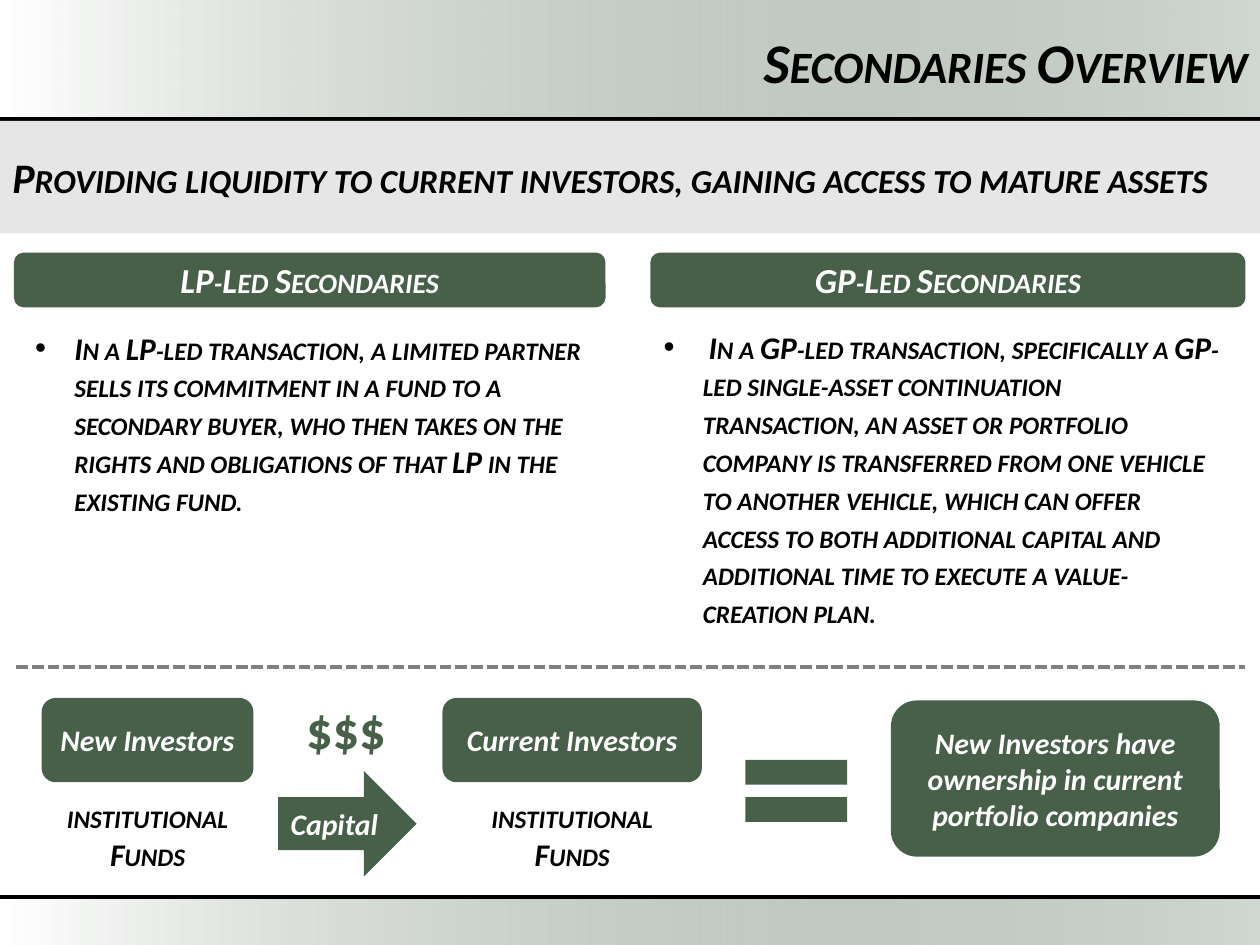
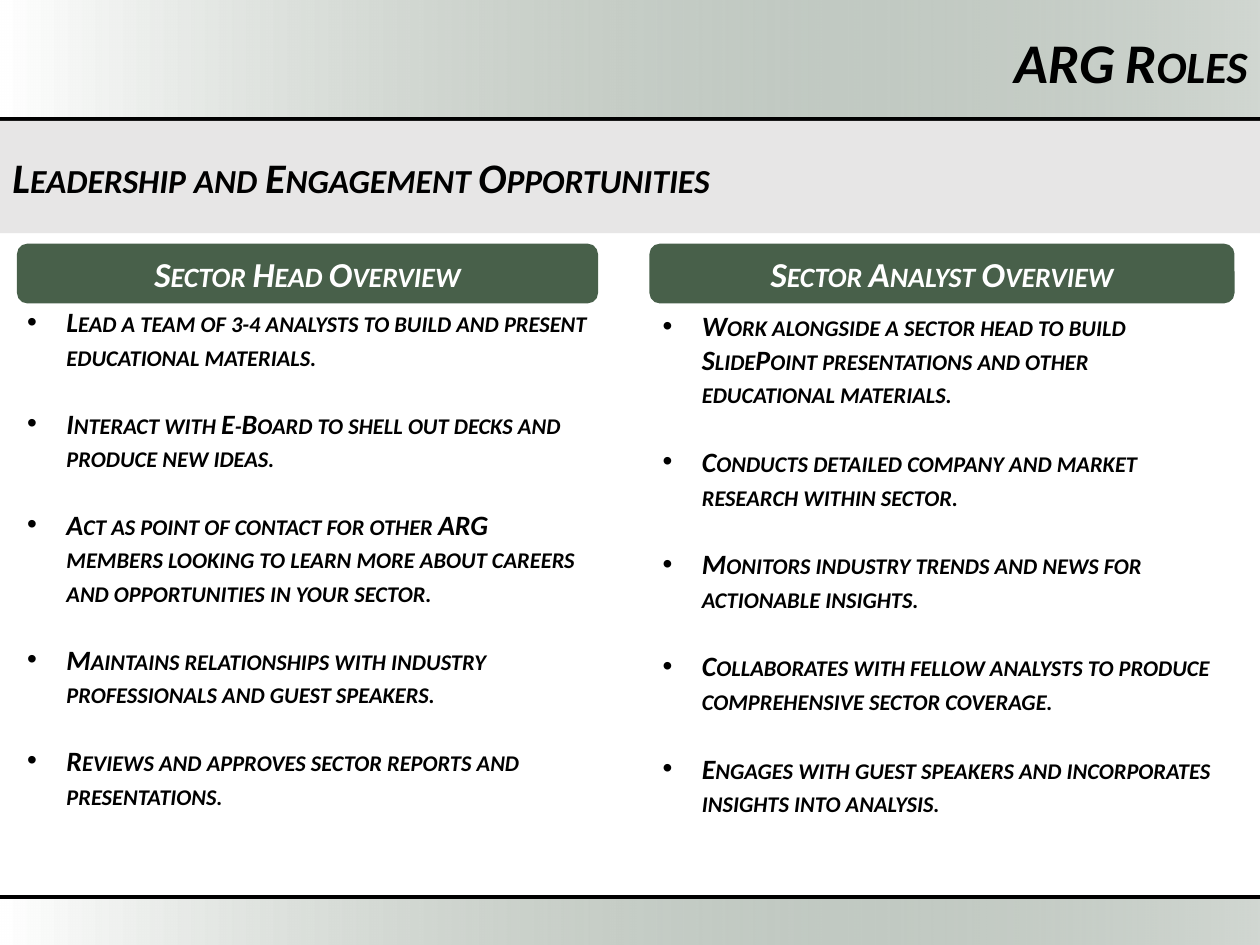
from dataclasses import dataclass

from lxml import etree
from pptx import Presentation
from pptx.dml.color import RGBColor
from pptx.enum.dml import MSO_LINE
from pptx.enum.shapes import MSO_CONNECTOR, MSO_SHAPE
from pptx.enum.text import MSO_ANCHOR, PP_ALIGN
from pptx.oxml.ns import qn
from pptx.util import Cm, Pt

GREEN = RGBColor(0x48, 0x60, 0x4A)
BLACK = RGBColor(0, 0, 0)
WHITE = RGBColor(0xFF, 0xFF, 0xFF)
BAND_GREY = RGBColor(0xE7, 0xE6, 0xE6)
DIVIDER_GREY = RGBColor(0x80, 0x80, 0x80)

FONT = "Calibri"
SLIDE_WIDTH, SLIDE_HEIGHT = 25.4, 19.05
BULLET_INDENT = Cm(0.79)

LEFT, CENTER, RIGHT = PP_ALIGN.LEFT, PP_ALIGN.CENTER, PP_ALIGN.RIGHT
TOP, MIDDLE = MSO_ANCHOR.TOP, MSO_ANCHOR.MIDDLE
RECTANGLE, ROUNDED = MSO_SHAPE.RECTANGLE, MSO_SHAPE.ROUNDED_RECTANGLE
ARROW, EQUALS = MSO_SHAPE.RIGHT_ARROW, MSO_SHAPE.MATH_EQUAL
STRAIGHT = MSO_CONNECTOR.STRAIGHT
DASHED = MSO_LINE.SQUARE_DOT


@dataclass(frozen=True)
class Box:
    left: float
    top: float
    width: float
    height: float

    def lengths(self) -> tuple[Cm, Cm, Cm, Cm]:
        return Cm(self.left), Cm(self.top), Cm(self.width), Cm(self.height)


@dataclass(frozen=True)
class Column:
    heading: str
    heading_box: Box
    points: tuple[str, ...]
    points_box: Box
    size: float
    gap: float = 0


@dataclass(frozen=True)
class FlowStep:
    text: str
    box: Box
    outline: MSO_SHAPE = ROUNDED


@dataclass(frozen=True)
class Caption:
    text: str
    box: Box


HEADER_BOX = Box(0, 0, SLIDE_WIDTH, 2.41)
FOOTER_BOX = Box(0, 18.11, SLIDE_WIDTH, 0.94)
SUBTITLE_BOX = Box(0, 2.44, SLIDE_WIDTH, 2.26)
TITLE_BOX = Box(10.13, 0.41, 15.27, 1.63)
RULE_TOPS = (2.41, 18.08)

SECONDARIES_COLUMNS = (
    Column(
        "LP-Led Secondaries",
        Box(0.3, 5.11, 11.89, 1.07),
        ("In a LP-led transaction, a limited partner sells its commitment in a fund "
         "to a secondary buyer, who then takes on the rights and obligations of that "
         "LP in the existing fund.",),
        Box(0.46, 6.5, 11.71, 4.11),
        18,
    ),
    Column(
        "GP-Led Secondaries",
        Box(13.13, 5.11, 11.96, 1.07),
        (" In a GP-led transaction, specifically a GP-led single-asset continuation "
         "transaction, an asset or portfolio company is transferred from one vehicle "
         "to another vehicle, which can offer access to both additional capital and "
         "additional time to execute a value-creation plan.",),
        Box(13.13, 6.48, 11.71, 6.4),
        18,
    ),
)

ROLE_COLUMNS = (
    Column(
        "Sector Head Overview",
        Box(0.36, 4.93, 11.68, 1.17),
        (
            "Lead a team of 3-4 analysts to build and present educational materials.",
            "Interact with E-Board to shell out decks and produce new ideas.",
            "Act as point of contact for other ARG members looking to learn more "
            "about careers and opportunities in your sector.",
            "Maintains relationships with industry professionals and guest speakers.",
            "Reviews and approves sector reports and presentations.",
        ),
        Box(0.3, 6.02, 11.79, 10.52),
        16,
        19.5,
    ),
    Column(
        "Sector Analyst Overview",
        Box(13.11, 4.93, 11.76, 1.17),
        (
            "Work alongside a sector head to build SlidePoint presentations and other "
            "educational materials.",
            "Conducts detailed company and market research within sector.",
            "Monitors industry trends and news for actionable insights.",
            "Collaborates with fellow analysts to produce comprehensive sector coverage.",
            "Engages with guest speakers and incorporates insights into analysis.",
        ),
        Box(13.11, 6.1, 11.68, 10.59),
        16,
        20,
    ),
)

FLOW_STEPS = (
    FlowStep("New Investors", Box(0.84, 14.07, 4.27, 1.7)),
    FlowStep("Capital", Box(5.61, 15.54, 2.79, 2.13), ARROW),
    FlowStep("Current Investors", Box(8.92, 14.07, 5.23, 1.7)),
    FlowStep("", Box(14.66, 14.88, 2.79, 2.13), EQUALS),
    FlowStep("New Investors have ownership in current portfolio companies",
             Box(17.96, 14.12, 6.63, 3.15)),
)

FUND_CAPTIONS = tuple(
    Caption("institutional Funds", Box(left, 15.95, 4.27, 1.8)) for left in (0.84, 9.4)
)
MONEY_BOX = Box(5.92, 13.92, 2.18, 1.55)


def write_text(shape, *paragraphs: str, size: float, color: RGBColor = BLACK,
               align: PP_ALIGN = LEFT, anchor: MSO_ANCHOR = TOP, italic: bool = True,
               small_caps: bool = True, bullet: bool = False, gap: float = 0,
               side_margin: float = 0.25) -> None:
    frame = shape.text_frame
    frame.word_wrap = True
    frame.vertical_anchor = anchor
    frame.margin_left = frame.margin_right = Cm(side_margin)
    for index, text in enumerate(paragraphs):
        paragraph = frame.add_paragraph() if index else frame.paragraphs[0]
        paragraph.alignment = align
        if index and gap:
            paragraph.space_before = Pt(gap)
        if bullet:
            add_bullet(paragraph)
        run = paragraph.add_run()
        run.text = text
        font = run.font
        font.name, font.size = FONT, Pt(size)
        font.bold, font.italic = True, italic
        font.color.rgb = color
        if small_caps:
            run._r.get_or_add_rPr().set("cap", "small")


def add_bullet(paragraph) -> None:
    properties = paragraph._p.get_or_add_pPr()
    properties.set("marL", str(BULLET_INDENT))
    properties.set("indent", str(-BULLET_INDENT))
    etree.SubElement(properties, qn("a:buFont")).set("typeface", "Arial")
    etree.SubElement(properties, qn("a:buChar")).set("char", "•")


def add_block(slide, outline: MSO_SHAPE, box: Box, fill: RGBColor, edge: bool = False):
    block = slide.shapes.add_shape(outline, *box.lengths())
    block.shadow.inherit = False
    block.fill.solid()
    block.fill.fore_color.rgb = fill
    if edge:
        block.line.color.rgb = fill
        block.line.width = Pt(1)
    else:
        block.line.fill.background()
    return block


def add_text(slide, box: Box, *paragraphs: str, **text_format) -> None:
    write_text(slide.shapes.add_textbox(*box.lengths()), *paragraphs, **text_format)


def add_fading_band(slide, box: Box) -> None:
    band = add_block(slide, RECTANGLE, box, WHITE)
    band.fill.gradient()
    band.fill.gradient_angle = 0
    start, end = band.fill.gradient_stops
    start.color.rgb, end.color.rgb = WHITE, GREEN
    start.position, end.position = 0, 1
    green = list(band._element.spPr.iter(qn("a:srgbClr")))[-1]
    etree.SubElement(green, qn("a:alpha")).set("val", "25000")


def add_rule(slide, left: float, right: float, top: float, color: RGBColor,
             width: float, dash: MSO_LINE | None = None) -> None:
    rule = slide.shapes.add_connector(STRAIGHT, Cm(left), Cm(top), Cm(right), Cm(top))
    rule.line.color.rgb = color
    rule.line.width = Pt(width)
    if dash is not None:
        rule.line.dash_style = dash
    etree.SubElement(rule._element.spPr, qn("a:effectLst"))


def add_column(slide, column: Column) -> None:
    heading = add_block(slide, ROUNDED, column.heading_box, GREEN, edge=True)
    write_text(heading, column.heading, size=20, color=WHITE, align=CENTER, anchor=MIDDLE)
    add_text(slide, column.points_box, *column.points, size=column.size,
             bullet=True, gap=column.gap)


def add_framed_slide(deck, title: str, subtitle: str, columns: tuple[Column, ...]):
    slide = deck.slides.add_slide(deck.slide_layouts[6])
    for box in (HEADER_BOX, FOOTER_BOX):
        add_fading_band(slide, box)
    for top in RULE_TOPS:
        add_rule(slide, 0, SLIDE_WIDTH, top, BLACK, 2.5)
    subtitle_band = add_block(slide, RECTANGLE, SUBTITLE_BOX, BAND_GREY)
    write_text(subtitle_band, subtitle, size=24, anchor=MIDDLE)
    add_text(slide, TITLE_BOX, title, size=32, align=RIGHT, anchor=MIDDLE)
    for column in columns:
        add_column(slide, column)
    return slide


def add_investment_flow(slide) -> None:
    add_rule(slide, 0.33, 25.1, 13.44, DIVIDER_GREY, 2.25, DASHED)
    for step in FLOW_STEPS:
        block = add_block(slide, step.outline, step.box, GREEN)
        if step.text:
            write_text(block, step.text, size=17, color=WHITE, align=CENTER,
                       anchor=MIDDLE, small_caps=False, side_margin=0)
    for caption in FUND_CAPTIONS:
        add_text(slide, caption.box, caption.text, size=18, align=CENTER)
    add_text(slide, MONEY_BOX, "$$$", size=30, color=GREEN, italic=False, small_caps=False)


def main() -> None:
    deck = Presentation()
    deck.slide_width, deck.slide_height = Cm(SLIDE_WIDTH), Cm(SLIDE_HEIGHT)
    secondaries = add_framed_slide(
        deck, "Secondaries Overview",
        "Providing liquidity to current investors, gaining access to mature assets",
        SECONDARIES_COLUMNS)
    add_investment_flow(secondaries)
    add_framed_slide(deck, "ARG Roles", "Leadership and Engagement Opportunities",
                     ROLE_COLUMNS)
    deck.save("out.pptx")


if __name__ == "__main__":
    main()
